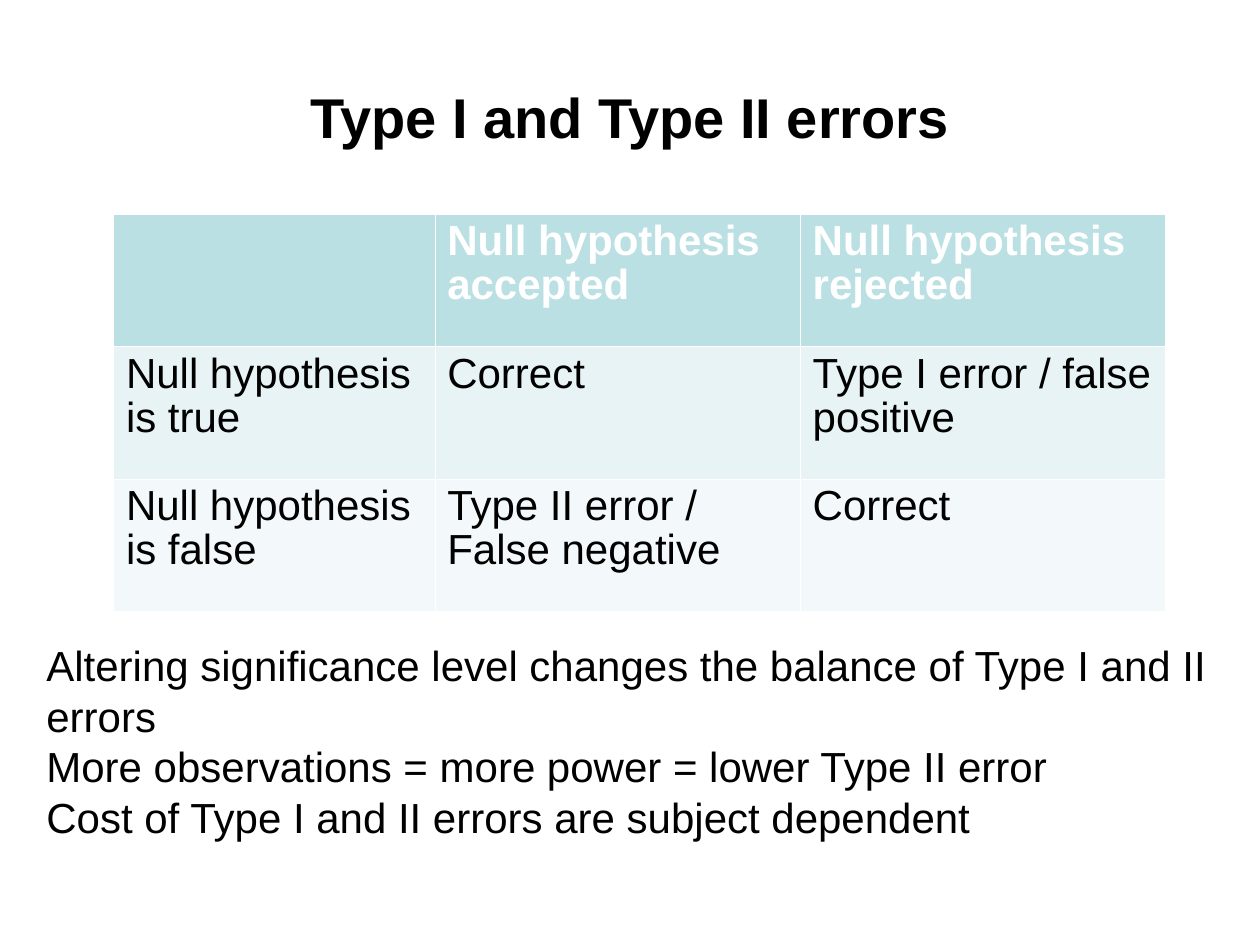
from pptx import Presentation
from pptx.dml.color import RGBColor
from pptx.enum.text import MSO_ANCHOR, MSO_AUTO_SIZE, PP_ALIGN
from pptx.oxml import parse_xml
from pptx.oxml.ns import nsdecls
from pptx.util import Inches, Pt

BLACK = RGBColor(0x00, 0x00, 0x00)
WHITE = RGBColor(0xFF, 0xFF, 0xFF)
ROW_FILLS = [
    RGBColor(0xBB, 0xE0, 0xE3),
    RGBColor(0xE7, 0xF3, 0xF4),
    RGBColor(0xF3, 0xF9, 0xFA),
]
COLUMN_WIDTHS = [2.55, 2.9, 2.9]
ROW_HEIGHT = 1.05
THIN, THICK = 0.23, 0.75

OUTCOMES = [
    ["", "Null hypothesis accepted", "Null hypothesis rejected"],
    ["Null hypothesis is true", "Correct", "Type I error / false positive"],
    ["Null hypothesis is false", "Type II error / False negative", "Correct"],
]
REMARKS = [
    "Altering significance level changes the balance of Type I and II errors",
    "More observations = more power = lower Type II error",
    "Cost of Type I and II errors are subject dependent",
]


def write(tf, lines, size=24, color=BLACK, bold=False, align=PP_ALIGN.LEFT, spacing=1.0):
    """Fill a text frame with one formatted paragraph per line."""
    tf.word_wrap = True
    for i, line in enumerate(lines):
        p = tf.paragraphs[0] if i == 0 else tf.add_paragraph()
        p.alignment = align
        p.line_spacing = spacing
        p.font.size = Pt(size)
        r = p.add_run()
        r.text = line
        r.font.name = "Arial"
        r.font.size = Pt(size)
        r.font.bold = bold
        r.font.color.rgb = color


def add_text(s, box, lines, anchor=MSO_ANCHOR.TOP, **style):
    """Add a text box at left, top, width and height in inches."""
    tf = s.shapes.add_textbox(*map(Inches, box)).text_frame
    write(tf, lines, **style)
    tf.vertical_anchor = anchor
    return tf


def set_borders(cell, top, bottom):
    """Draw white cell borders, with their own widths at top and bottom."""
    tc_pr = cell._tc.get_or_add_tcPr()
    for side, width in zip("LRTB", (THIN, THIN, top, bottom)):
        tc_pr.append(parse_xml(
            f'<a:ln{side} {nsdecls("a")} w="{Pt(width)}"><a:solidFill>'
            f'<a:srgbClr val="{WHITE}"/></a:solidFill></a:ln{side}>'
        ))


def add_outcome_table(s, left, top):
    """Add the table of decisions against the truth of the hypothesis."""
    rows, cols = len(OUTCOMES), len(COLUMN_WIDTHS)
    size = (sum(COLUMN_WIDTHS), rows * ROW_HEIGHT)
    table = s.shapes.add_table(rows, cols, *map(Inches, (left, top, *size))).table
    for column, width in zip(table.columns, COLUMN_WIDTHS):
        column.width = Inches(width)
    for i, (texts, fill) in enumerate(zip(OUTCOMES, ROW_FILLS)):
        table.rows[i].height = Inches(ROW_HEIGHT)
        header = i == 0
        for j, text in enumerate(texts):
            cell = table.cell(i, j)
            set_borders(cell, THICK if i == 1 else THIN, THICK if header else THIN)
            cell.fill.solid()
            cell.fill.fore_color.rgb = fill
            if text:
                write(cell.text_frame, [text], color=WHITE if header else BLACK,
                      bold=header, spacing=0.94)


def main():
    """Build the slide and save it."""
    prs = Presentation()
    prs.slide_width, prs.slide_height = Inches(10), Inches(7.5)
    s = prs.slides.add_slide(prs.slide_layouts[6])
    add_text(s, (0.5, 0.3, 9, 1.25), ["Type I and Type II errors"],
             anchor=MSO_ANCHOR.MIDDLE, size=32, bold=True, align=PP_ALIGN.CENTER)
    add_outcome_table(s, 0.9, 1.7)
    remarks = add_text(s, (0.27, 5.03, 9.53, 1.7), REMARKS)
    remarks.auto_size = MSO_AUTO_SIZE.SHAPE_TO_FIT_TEXT
    prs.save("out.pptx")


if __name__ == "__main__":
    main()
